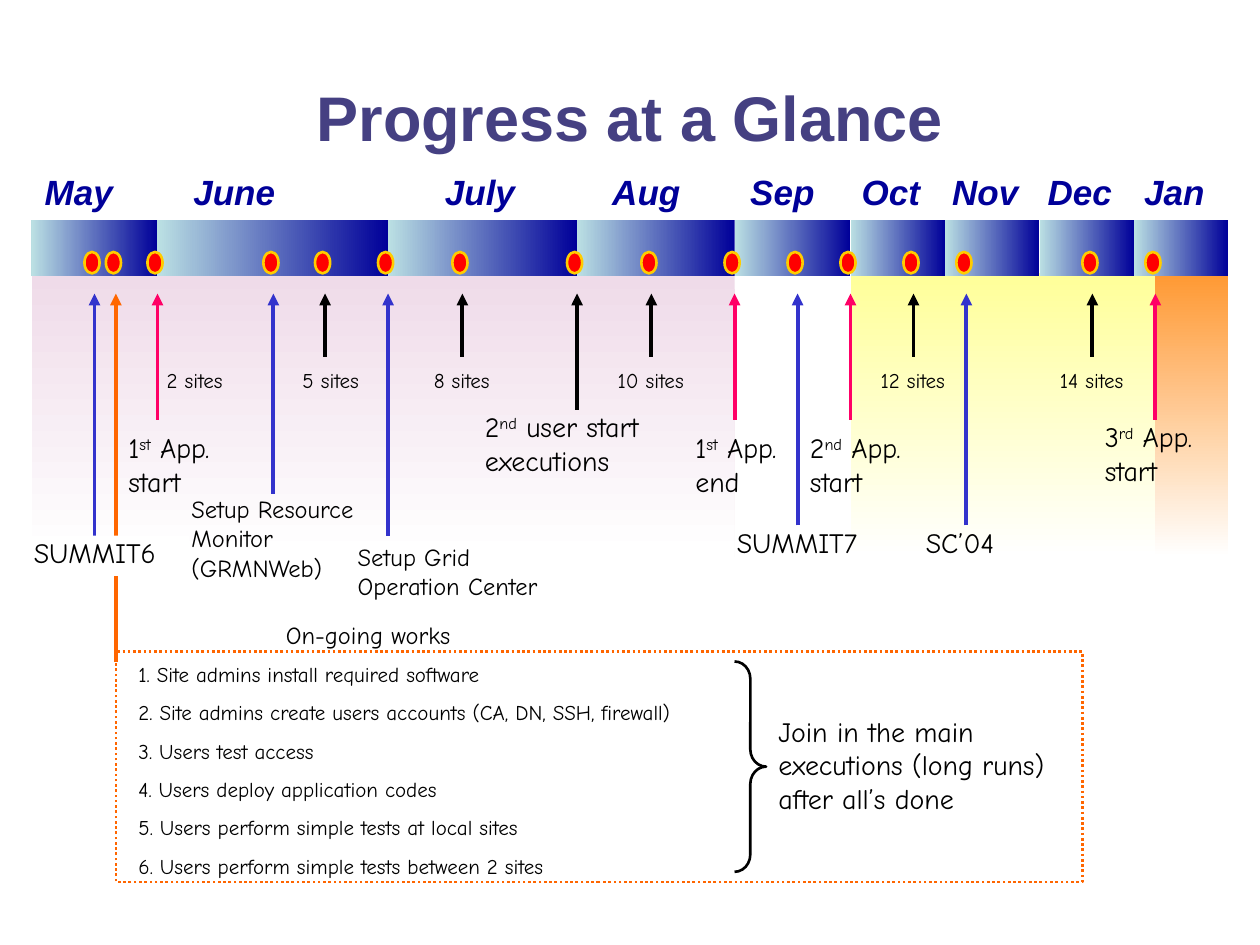
from lxml.etree import SubElement
from pptx import Presentation
from pptx.dml.color import RGBColor
from pptx.enum.dml import MSO_LINE
from pptx.enum.shapes import MSO_CONNECTOR, MSO_SHAPE as SHAPE
from pptx.enum.text import MSO_ANCHOR, MSO_AUTO_SIZE, PP_ALIGN as ALIGN
from pptx.oxml.ns import qn
from pptx.util import Inches, Pt

BLACK = RGBColor(0x00, 0x00, 0x00)
WHITE = RGBColor(0xFF, 0xFF, 0xFF)
NAVY = RGBColor(0x00, 0x00, 0x99)
ICE = RGBColor(0xBB, 0xE0, 0xE3)
INDIGO = RGBColor(0x45, 0x40, 0x82)
BLUE = RGBColor(0x33, 0x33, 0xCC)
PINK = RGBColor(0xFF, 0x00, 0x66)
ORANGE = RGBColor(0xFF, 0x66, 0x00)
RED = RGBColor(0xFF, 0x00, 0x00)
GOLD = RGBColor(0xFF, 0xCC, 0x00)
PALE_ORANGE = RGBColor(0xFF, 0x99, 0x33)
PALE_YELLOW = RGBColor(0xFF, 0xFF, 0x99)
PALE_PINK = RGBColor(0xEF, 0xDB, 0xE9)

BODY = {"name": "Comic Neue", "size": Pt(16), "color": BLACK}
MEDIUM = {**BODY, "size": Pt(14)}
SMALL = {**BODY, "size": Pt(12)}
MONTH = {"name": "Arial", "size": Pt(20), "color": NAVY, "bold": True, "italic": True}
TITLE = {"name": "Arial", "size": Pt(36), "color": INDIGO, "bold": True, "italic": False}
TEXT_MARGINS = (0.1, 0, 0.1, 0.05)
MONTH_MARGINS = (0.03, 0.02, 0.03, 0.02)

PHASES = [(9.08, 0.67, PALE_ORANGE), (6.75, 2.42, PALE_YELLOW), (0.25, 5.58, PALE_PINK)]
MONTH_EDGES = [0.25, 1.25, 3.08, 4.58, 5.83, 6.75, 7.5, 8.25, 9, 9.75]
MONTH_LABELS = [
    ("May", 0.25, 0.75), ("June", 1.46, 0.8), ("July", 3.41, 0.8),
    ("Aug", 4.73, 0.8), ("Sep", 5.81, 0.8), ("Oct", 6.67, 0.8),
    ("Nov", 7.42, 0.8), ("Dec", 8.17, 0.8), ("Jan", 8.92, 0.8),
]
MILESTONES = [
    (0.92, 5.25, ORANGE), (0.75, 4.25, BLUE), (1.25, 3.33, PINK), (2.17, 3.92, BLUE),
    (2.58, 2.83, BLACK), (3.08, 4.25, BLUE), (3.67, 2.83, BLACK), (4.58, 3.25, BLACK),
    (5.17, 2.83, BLACK), (5.83, 3.33, PINK), (6.33, 4.17, BLUE), (6.75, 3.33, PINK),
    (7.25, 2.83, BLACK), (7.67, 4.17, BLUE), (8.67, 2.83, BLACK), (9.17, 3.33, PINK),
]
SITE_COUNTS = [
    (2, 1.17, 0.75), (5, 2.25, 0.75), (8, 3.25, 0.83),
    (10, 4.75, 0.83), (12, 6.83, 0.83), (14, 8.25, 0.83),
]
EVENTS = [
    ("1^st^ App. start", 0.92, 3.42, 0.92, 0.58),
    ("2^nd^ user start executions", 3.75, 3.25, 1.67, 0.58),
    ("1^st^ App. end", 5.42, 3.42, 0.92, 0.58),
    ("2^nd^ App. start", 6.33, 3.42, 1, 0.58),
    ("3^rd^ App. start", 8.67, 3.33, 1, 0.58),
    ("SUMMIT7", 5.75, 4.17, 1.33, 0.32),
    ("SC’04", 7.25, 4.17, 0.83, 0.32),
    ("Join in the main executions (long runs) after all’s done", 6.08, 5.67, 2.5, 0.85),
]
SETUPS = [
    ("Setup Resource Monitor (GRMNWeb)", 1.42, 3.92, 1.67, 0.75),
    ("Setup Grid\nOperation Center", 2.74, 4.3, 1.75, 0.52),
    ("On-going works", 2.17, 4.92, 1.67, 0.29),
]
TASKS = """1. Site admins install required software
2. Site admins create users accounts (CA, DN, SSH, firewall)
3. Users test access
4. Users deploy application codes
5. Users perform simple tests at local sites
6. Users perform simple tests between 2 sites"""


def set_font(font, style):
    """Apply a dict of font values."""
    for name, value in style.items():
        if name == "color":
            font.color.rgb = value
        else:
            setattr(font, name, value)


def write_text(frame, text, style, align=ALIGN.LEFT, space=0, hanging=0):
    """Write one paragraph per line, raising the parts between carets."""
    for index, line in enumerate(text.split("\n")):
        paragraph = frame.add_paragraph() if index else frame.paragraphs[0]
        paragraph.alignment = align
        paragraph.space_before = Pt(space)
        if hanging:
            properties = paragraph._p.get_or_add_pPr()
            properties.set("marL", str(Inches(hanging)))
            properties.set("indent", str(-Inches(hanging)))
        for part, words in enumerate(line.split("^")):
            run = paragraph.add_run()
            run.text = words
            set_font(run.font, style)
            if part % 2:
                run._r.get_or_add_rPr().set("baseline", "30000")


def add_text(slide, box, text, style, margins=TEXT_MARGINS, fill=None, **layout):
    """Add a text box, filled if a colour is given."""
    shape = slide.shapes.add_textbox(*map(Inches, box))
    frame = shape.text_frame
    sides = ("margin_left", "margin_top", "margin_right", "margin_bottom")
    values = {**dict(zip(sides, map(Inches, margins))),
              "word_wrap": True, "auto_size": MSO_AUTO_SIZE.SHAPE_TO_FIT_TEXT}
    for name, value in values.items():
        setattr(frame, name, value)
    if fill is not None:
        shape.fill.solid()
        shape.fill.fore_color.rgb = fill
    write_text(frame, text, style, **layout)


def add_shape(slide, kind, box, fill=None, line=None, width=1.5):
    """Add a shadowless preset shape with optional fill and line."""
    shape = slide.shapes.add_shape(kind, *map(Inches, box))
    shape.shadow.inherit = False
    if fill is None:
        shape.fill.background()
    else:
        shape.fill.solid()
        shape.fill.fore_color.rgb = fill
    if line is None:
        shape.line.fill.background()
    else:
        shape.line.color.rgb = line
        shape.line.width = Pt(width)
    return shape


def add_gradient(slide, box, colors, angle):
    """Add a rectangle with a two-colour gradient."""
    shape = add_shape(slide, SHAPE.RECTANGLE, box)
    shape.fill.gradient()
    shape.fill.gradient_angle = angle
    for stop, color in zip(shape.fill.gradient_stops, colors):
        stop.color.rgb = color


def add_arrow(slide, x, bottom, color):
    """Add an upward arrow pointing to the timeline."""
    ends = map(Inches, (x, bottom, x, 2.33))
    arrow = slide.shapes.add_connector(MSO_CONNECTOR.STRAIGHT, *ends)
    arrow.line.color.rgb = color
    arrow.line.width = Pt(2.25)
    SubElement(arrow.line._get_or_add_ln(), qn("a:tailEnd"), type="triangle")
    SubElement(arrow._element.spPr, qn("a:effectLst"))


def add_title(slide, text):
    """Place and format the slide title."""
    title = slide.shapes.title
    box = {"left": 0.5, "top": 0.3, "width": 9, "height": 1.25}
    for name, value in box.items():
        setattr(title, name, Inches(value))
    title.text_frame.vertical_anchor = MSO_ANCHOR.MIDDLE
    write_text(title.text_frame, text, TITLE, align=ALIGN.CENTER)


def add_timeline(slide):
    """Draw the phases, the month bars and the milestones."""
    for left, width, color in PHASES:
        add_gradient(slide, (left, 2.17, width, 2.25), (color, WHITE), 270)
    for left, right in zip(MONTH_EDGES, MONTH_EDGES[1:]):
        add_gradient(slide, (left, 1.75, right - left, 0.44), (NAVY, ICE), 180)
    for name, left, width in MONTH_LABELS:
        add_text(slide, (left, 1.33, width, 0.36), name, MONTH, MONTH_MARGINS,
                 align=ALIGN.CENTER)
    for x, bottom, color in MILESTONES:
        add_arrow(slide, x, bottom, color)
        add_shape(slide, SHAPE.OVAL, (x - 0.08, 2, 0.12, 0.17), RED, GOLD)


def add_labels(slide):
    """Write the labels under the timeline."""
    add_text(slide, (0.17, 4.25, 1.33, 0.32), "SUMMIT6", BODY, fill=WHITE, space=10)
    for text, *box in EVENTS:
        add_text(slide, box, text, BODY, space=10)
    for text, *box in SETUPS:
        add_text(slide, box, text, MEDIUM, space=0 if "\n" in text else 8.8)
    for count, left, width in SITE_COUNTS:
        add_text(slide, (left, 2.92, width, 0.25), f"{count} sites", SMALL,
                 align=ALIGN.CENTER, space=7.5)


def add_ongoing_works(slide):
    """Draw the dotted frame with its tasks and brace."""
    add_text(slide, (1, 5.25, 5.08, 1.77), TASKS, SMALL, space=7.5, hanging=0.38)
    frame = add_shape(slide, SHAPE.RECTANGLE, (0.92, 5.17, 7.67, 1.83), line=ORANGE)
    frame.line.dash_style = MSO_LINE.ROUND_DOT
    brace = add_shape(slide, SHAPE.RIGHT_BRACE, (5.83, 5.25, 0.25, 1.67), line=BLACK)
    brace.adjustments[0] = 0.55


def main():
    """Build and save the presentation."""
    presentation = Presentation()
    presentation.slide_width = Inches(10)
    presentation.slide_height = Inches(7.5)
    slide = presentation.slides.add_slide(presentation.slide_layouts[5])
    add_title(slide, "Progress at a Glance")
    add_timeline(slide)
    add_labels(slide)
    add_ongoing_works(slide)
    presentation.save("out.pptx")


if __name__ == "__main__":
    main()
